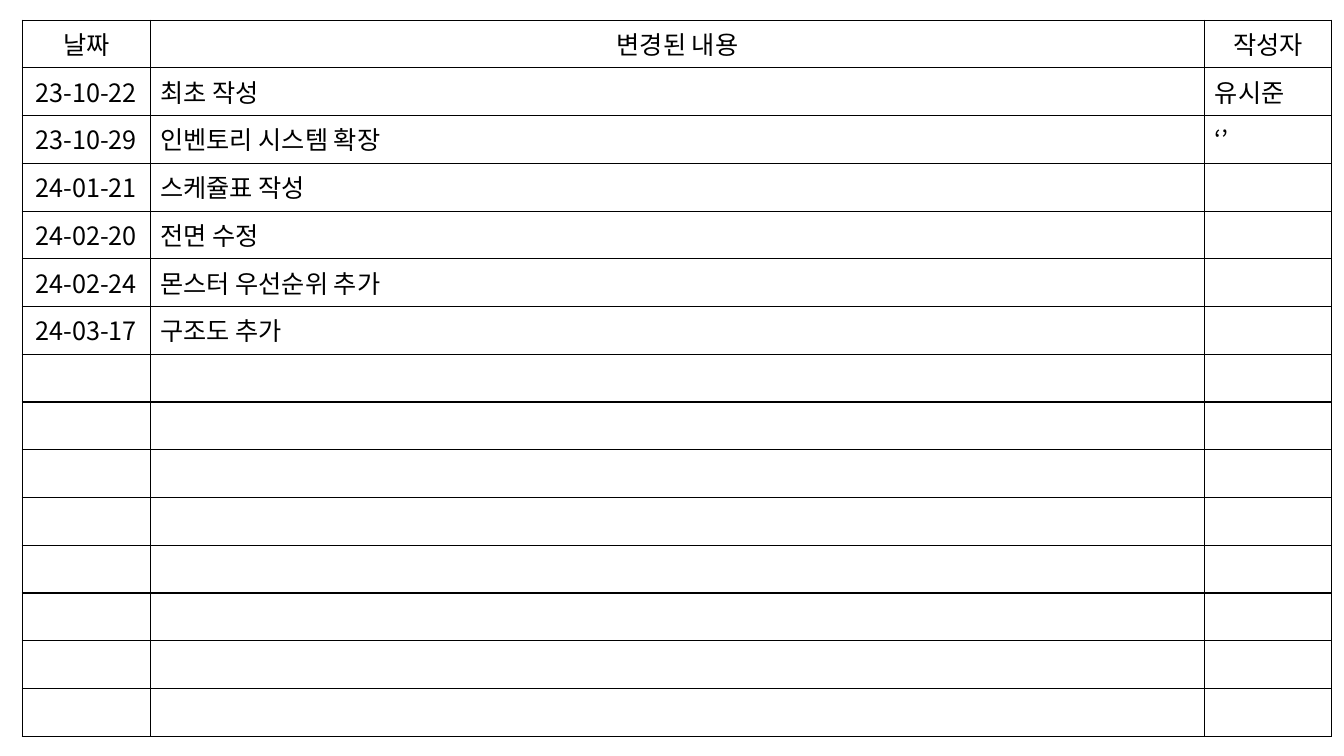
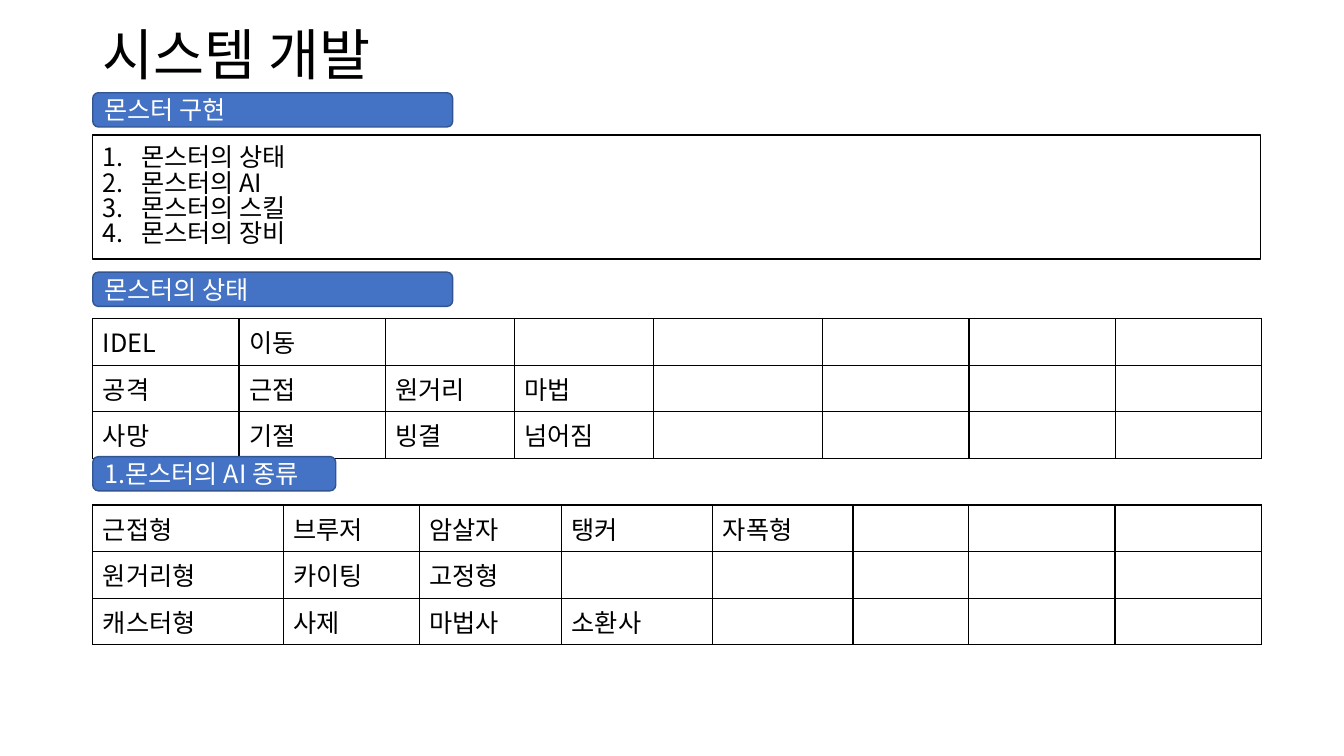
"""Builds the change log and the monster system slides."""
from lxml import etree
from pptx import Presentation
from pptx.dml.color import RGBColor
from pptx.enum.shapes import MSO_SHAPE
from pptx.enum.text import MSO_ANCHOR, MSO_AUTO_SIZE, PP_ALIGN
from pptx.oxml.ns import qn
from pptx.util import Inches, Pt

LEFT, CENTER = PP_ALIGN.LEFT, PP_ALIGN.CENTER
MIDDLE = MSO_ANCHOR.MIDDLE
NO_FIT = MSO_AUTO_SIZE.NONE
ROUNDED = MSO_SHAPE.ROUNDED_RECTANGLE

COLORS = {"text": "000000", "border": "000000", "bar": "4472C4",
          "bar_line": "325491", "bar_text": "FFFFFF"}
FONT = "Noto Sans CJK KR"
MARGIN, CONTENT_WIDTH = 0.92, 11.58
BAR_HEIGHT = 0.34
TITLE_AND_CONTENT, BLANK = 1, 6

LOG_COLUMNS = [1.27, 10.46, 1.26]
LOG_ROW_COUNT = 15
LOG_ROWS = [
    ["날짜", "변경된 내용", "작성자"],
    ["23-10-22", "최초 작성", "유시준"],
    ["23-10-29", "인벤토리 시스템 확장", "‘’"],
    ["24-01-21", "스케쥴표 작성"],
    ["24-02-20", "전면 수정"],
    ["24-02-24", "몬스터 우선순위 추가"],
    ["24-03-17", "구조도 추가"],
]
TOPICS = ["몬스터의 상태", "몬스터의 AI", "몬스터의 스킬", "몬스터의 장비"]
STATE_COLUMNS = [1.45, 1.45, 1.28, 1.38, 1.68, 1.45, 1.45, 1.45]
STATE_ROWS = [
    ["IDEL", "이동"],
    ["공격", "근접", "원거리", "마법"],
    ["사망", "기절", "빙결", "넘어짐"],
]
AI_COLUMNS = [1.89, 1.35, 1.41, 1.5, 1.39, 1.15, 1.45, 1.45]
AI_ROWS = [
    ["근접형", "브루저", "암살자", "탱커", "자폭형"],
    ["원거리형", "카이팅", "고정형"],
    ["캐스터형", "사제", "마법사", "소환사"],
]


def rgb(name):
    """Return the named colour of the palette."""
    return RGBColor.from_string(COLORS[name])


def write_text(frame, lines, *, size=18, color="text", align=LEFT,
               spacing=1.0, numbered=False):
    """Write one formatted paragraph for each line."""
    for index, line in enumerate(lines):
        para = frame.add_paragraph() if index else frame.paragraphs[0]
        if numbered:
            properties = para._p.get_or_add_pPr()
            properties.set("marL", str(Inches(0.38)))
            properties.set("indent", str(Inches(-0.38)))
            etree.SubElement(properties, qn("a:buAutoNum"), type="arabicPeriod")
        para.alignment = align
        para.line_spacing = spacing
        para.space_before = Pt(0)
        span = para.add_run()
        span.text = line
        span.font.size = Pt(size)
        span.font.color.rgb = rgb(color)
        span.font.name = FONT
        etree.SubElement(span._r.get_or_add_rPr(), qn("a:ea"), typeface=FONT)


def place(box, left, top, width, height):
    """Move and resize a box, with lengths in inches."""
    box.left, box.top = Inches(left), Inches(top)
    box.width, box.height = Inches(width), Inches(height)


def prepare_frame(box):
    """Return the text frame of a box, wrapped and vertically centred."""
    frame = box.text_frame
    frame.word_wrap = True
    frame.auto_size = NO_FIT
    frame.vertical_anchor = MIDDLE
    return frame


def set_title(page, text):
    """Fill the title placeholder."""
    title = page.shapes.title
    place(title, MARGIN, 0.4, 9.14, 0.35)
    write_text(prepare_frame(title), [text], size=39.6, spacing=0.9)


def set_numbered_list(page, lines):
    """Fill the body placeholder with an outlined numbered list."""
    body = page.placeholders[1]
    place(body, MARGIN, 1.34, CONTENT_WIDTH, 1.23)
    body.line.color.rgb = rgb("border")
    body.line.width = Pt(1)
    write_text(prepare_frame(body), lines, spacing=0.83, numbered=True)


def add_bar(page, text, top, width=3.57):
    """Add a rounded section heading."""
    bar = page.shapes.add_shape(ROUNDED, Inches(MARGIN), Inches(top),
                                Inches(width), Inches(BAR_HEIGHT))
    bar.shadow.inherit = False
    bar.fill.solid()
    bar.fill.fore_color.rgb = rgb("bar")
    bar.line.color.rgb = rgb("bar_line")
    bar.line.width = Pt(1)
    write_text(prepare_frame(bar), [text], color="bar_text")


def set_borders(cell):
    """Draw a thin line on the four sides of an unfilled cell."""
    cell.fill.background()
    properties = cell._tc.get_or_add_tcPr()
    for index, side in enumerate("LRTB"):
        line = etree.Element(qn(f"a:ln{side}"), w=str(Pt(1)))
        fill = etree.SubElement(line, qn("a:solidFill"))
        etree.SubElement(fill, qn("a:srgbClr"), val=COLORS["border"])
        properties.insert(index, line)


def add_grid(page, rows, columns, *, left=MARGIN, top, row_height=0.41,
             row_count=None, is_centered=lambda row, column: False):
    """Add a bordered table, leaving cells without text empty."""
    row_count = row_count or len(rows)
    table = page.shapes.add_table(
        row_count, len(columns), Inches(left), Inches(top),
        Inches(sum(columns)), Inches(row_height * row_count)).table
    table.first_row = table.horz_banding = False
    for column, width in zip(table.columns, columns):
        column.width = Inches(width)
    for row in table.rows:
        row.height = Inches(row_height)
    for cell in table.iter_cells():
        set_borders(cell)
    for row_index, texts in enumerate(rows):
        for column_index, text in enumerate(texts):
            align = CENTER if is_centered(row_index, column_index) else LEFT
            write_text(table.cell(row_index, column_index).text_frame, [text],
                       align=align)


def add_change_log(deck):
    """Add the slide with the change log."""
    page = deck.slides.add_slide(deck.slide_layouts[BLANK])
    add_grid(page, LOG_ROWS, LOG_COLUMNS, left=0.22, top=0.2,
             row_height=7.11 / LOG_ROW_COUNT, row_count=LOG_ROW_COUNT,
             is_centered=lambda row, column: row == 0 or column == 0)


def add_monster_system(deck):
    """Add the slide with monster states and AI types."""
    page = deck.slides.add_slide(deck.slide_layouts[TITLE_AND_CONTENT])
    set_title(page, "시스템 개발")
    add_bar(page, "몬스터 구현", 0.92)
    set_numbered_list(page, TOPICS)
    add_bar(page, "몬스터의 상태", 2.7)
    add_grid(page, STATE_ROWS, STATE_COLUMNS, top=3.16)
    add_bar(page, "1.몬스터의 AI 종류", 4.53, width=2.41)
    add_grid(page, AI_ROWS, AI_COLUMNS, top=5.01)


def main():
    """Build and save the deck."""
    deck = Presentation()
    deck.slide_width, deck.slide_height = Inches(13.33), Inches(7.5)
    add_change_log(deck)
    add_monster_system(deck)
    deck.save("out.pptx")


if __name__ == "__main__":
    main()
